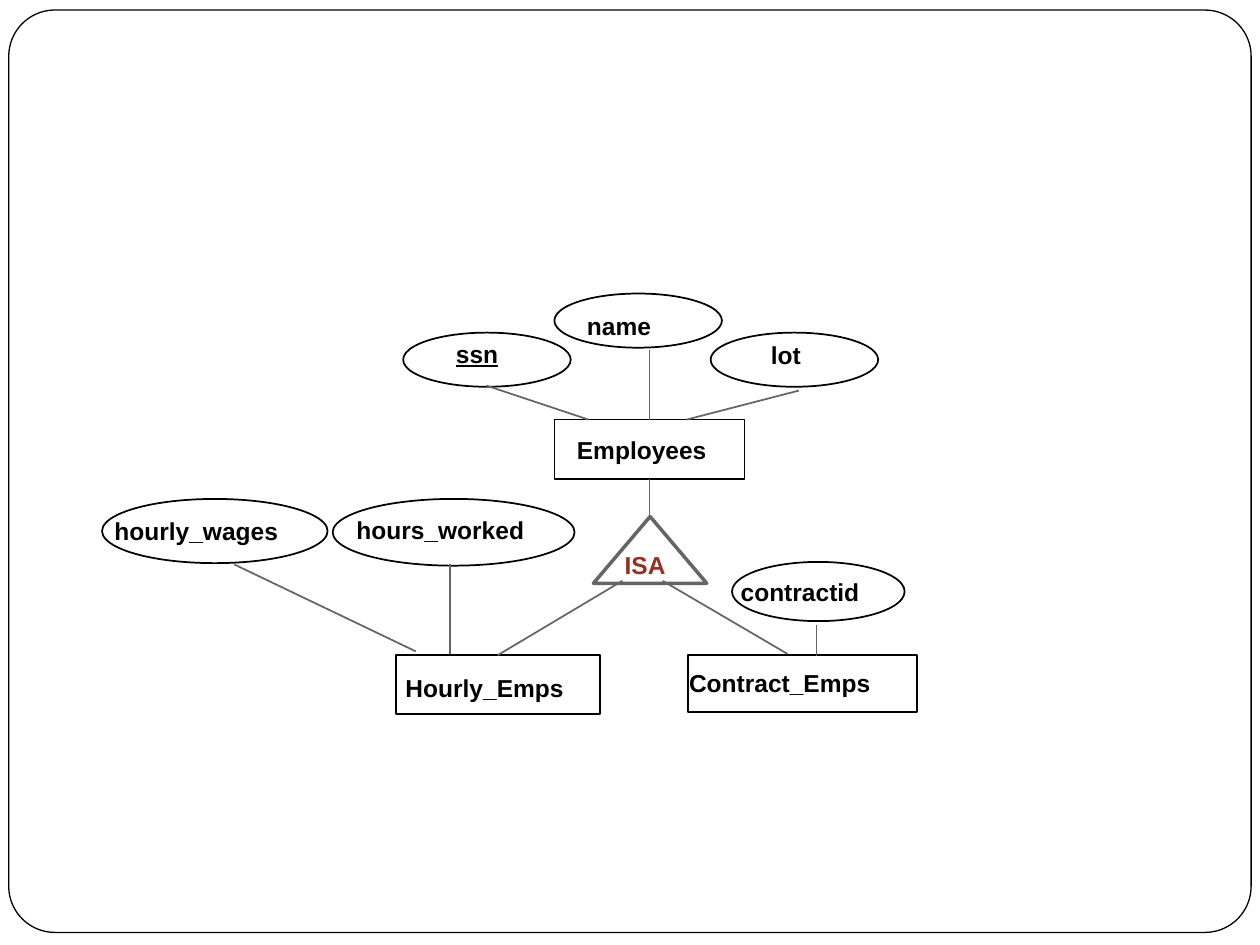
import pptx
import pptx.util
import pptx.dml.color
import pptx.enum.shapes
import pptx.oxml

RGB = pptx.dml.color.RGBColor
KIND = pptx.enum.shapes.MSO_SHAPE
BLACK = RGB(0x00, 0x00, 0x00)
WHITE = RGB(0xFF, 0xFF, 0xFF)
GREY = RGB(0x69, 0x64, 0x64)
RED = RGB(0x9B, 0x2D, 0x1F)

# Grid: 100 columns by 75 rows over the slide
COLS, ROWS = 100, 75

# Content: left, top, width, height in grid cells
FRAME = (0.7, 0.8, 98.6, 73.2)
TRAITS = [
    (32, 26.4, 13.3, 4.3),
    (44, 23.3, 13.3, 4.3),
    (56.4, 26.4, 13.3, 4.3),
    (8.1, 39.6, 17.9, 5.1),
    (26.4, 39.6, 19.2, 5.3),
    (58.1, 44.6, 13.7, 4.7),
]
TABLES = {
    "staff": (44, 33.3, 15.1, 4.7),
    "hourly": (31.4, 52, 16.2, 4.7),
    "contract": (54.6, 52, 18.2, 4.5),
}
ISA = (47.1, 41, 9, 5.3)

# Label: text, left, top, width, font changes
LABELS = [
    ("ssn", 35.2, 26.4, 6.1, {"underline": True}),
    ("name", 45.6, 24.2, 11.5, {}),
    ("lot", 60.2, 26.5, 5, {}),
    ("Employees", 44.8, 34, 14.1, {}),
    ("hourly_wages", 8.1, 40.5, 17.2, {}),
    ("hours_worked", 27.3, 40.4, 17.5, {}),
    ("ISA", 48.6, 43.2, 6, {"color": RED}),
    ("contractid", 57.8, 45.3, 13.1, {}),
    ("Hourly_Emps", 31.2, 52.9, 16.7, {}),
    ("Contract_Emps", 53.7, 52.5, 18.8, {}),
]
TALL = 3.3
FONT = {"name": "Arial", "size": pptx.util.Pt(14), "bold": True}

# Link: start, end, and the table side it joins, if any
LINKS = [
    ((38.6, 30.6), (46.7, 33.3), None),
    ((51.55, 27.8), (51.55, 33.3), ("staff", 0)),
    ((63.4, 31), (54.5, 33.3), None),
    ((18.6, 44.8), (33, 51.7), None),
    ((35.7, 44.8), (35.7, 51.9), None),
    ((51.55, 41.3), (51.55, 38), ("staff", 2)),
    ((49.4, 46.1), (39.5, 52), ("hourly", 0)),
    ((52.6, 46.1), (62.5, 51.9), None),
    ((64.8, 49.6), (64.8, 52.1), None),
]

deck = pptx.Presentation()
deck.slide_width = pptx.util.Inches(10)
deck.slide_height = pptx.util.Inches(7.5)
slide = deck.slides.add_slide(deck.slide_layouts[6])
cell_w = deck.slide_width / COLS
cell_h = deck.slide_height / ROWS


def place(*cells):
    """Turn grid x, y pairs into slide units."""
    return [round(c * (cell_h if i % 2 else cell_w)) for i, c in enumerate(cells)]


def draw(kind, box, ink=BLACK, width=1, fill=None):
    shape = slide.shapes.add_shape(kind, *place(*box))
    shape.shadow.inherit = False
    if fill is None:
        shape.fill.background()
    else:
        shape.fill.solid()
        shape.fill.fore_color.rgb = fill
    shape.line.color.rgb = ink
    shape.line.width = pptx.util.Pt(width)
    return shape


def label(text, left, top, width, style):
    box = slide.shapes.add_textbox(*place(left, top, width, TALL))
    box.text_frame.word_wrap = True
    run = box.text_frame.paragraphs[0].add_run()
    run.text = text
    look = {**FONT, **style}
    run.font.color.rgb = look.pop("color", BLACK)
    for key, value in look.items():
        setattr(run.font, key, value)


def link(start, end, joint):
    line = slide.shapes.add_connector(
        pptx.enum.shapes.MSO_CONNECTOR.STRAIGHT, *place(*start, *end))
    line.line.color.rgb = GREY
    line.line.width = pptx.util.Pt(1)
    line._element.spPr.append(pptx.oxml.parse_xml(
        '<a:effectLst xmlns:a="http://schemas.openxmlformats.org/drawingml/2006/main"/>'))
    if joint:
        name, side = joint
        line.end_connect(tables[name], side)


# Frame
draw(KIND.ROUNDED_RECTANGLE, FRAME, width=0.75, fill=WHITE).adjustments[0] = 0.05

# Entities, attributes and the ISA triangle
tables = {name: draw(KIND.RECTANGLE, box) for name, box in TABLES.items()}
for box in TRAITS:
    draw(KIND.OVAL, box)
draw(KIND.ISOSCELES_TRIANGLE, ISA, ink=GREY, width=2)

# Links and labels
for item in LINKS:
    link(*item)
for item in LABELS:
    label(*item)

deck.save("out.pptx")
